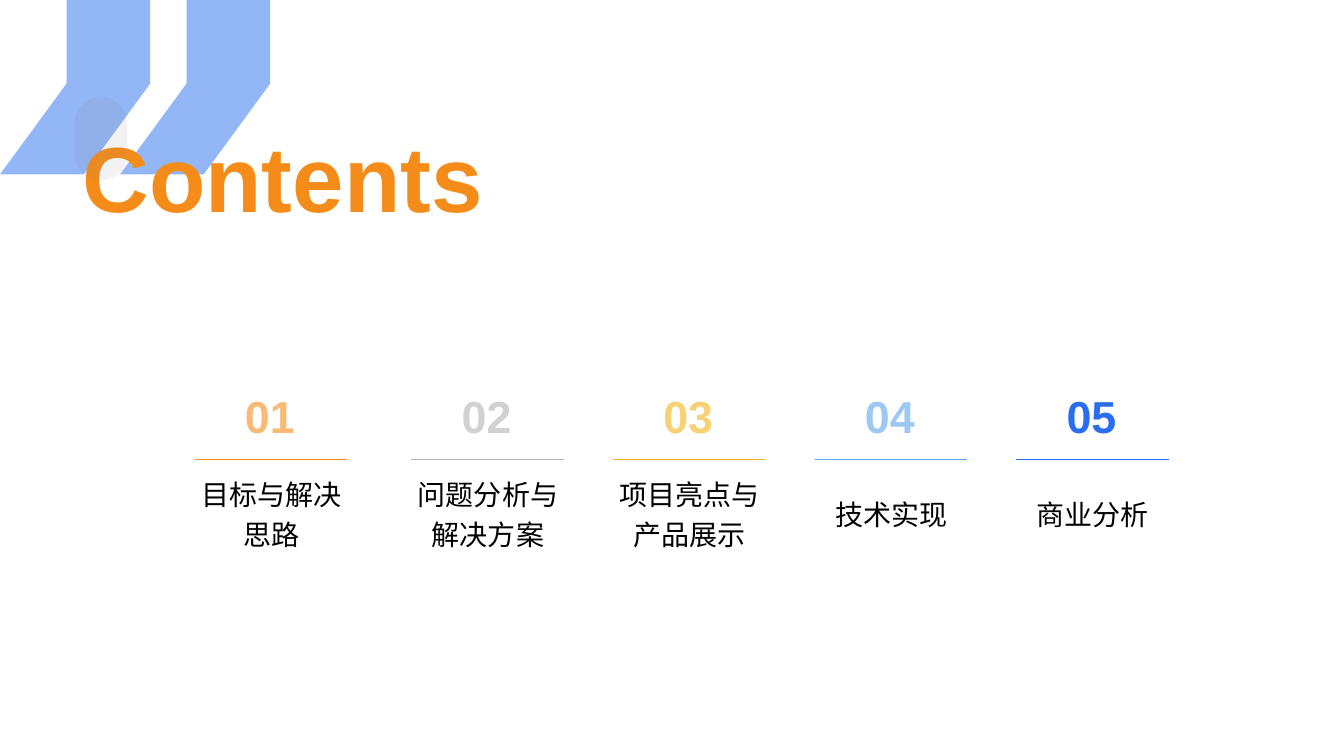
from lxml import etree
from pptx import Presentation
from pptx import util as u
from pptx.dml.color import RGBColor
from pptx.enum import shapes, text
from pptx.oxml.ns import qn

WIDTH, HEIGHT = 13.33, 7.5
COLUMN = 2.0            # pitch of the agenda columns
COLUMN_START = 1.93     # left of the second column, one pitch back
FIRST_SHIFT = -0.15     # the first column stands a little apart
LABEL_W = 1.82
NUMBER_INDENT = 0.55
RULE_INDENT, RULE_W = 0.15, 1.51
NUMBER_ROW, RULE_ROW, LABEL_ROW = 3.76, 4.56, 4.65

FONT = "Arial"
BLACK = RGBColor(0x00, 0x00, 0x00)
GREY = RGBColor(0x80, 0x80, 0x80)
ORANGE = RGBColor(0xF5, 0x8C, 0x19)
LIGHT_ORANGE = RGBColor(0xF9, 0xBA, 0x75)
SILVER = RGBColor(0xB3, 0xB3, 0xB3)
LIGHT_SILVER = RGBColor(0xD1, 0xD1, 0xD1)
YELLOW = RGBColor(0xF5, 0xB2, 0x19)
LIGHT_YELLOW = RGBColor(0xF9, 0xD1, 0x75)
SKY = RGBColor(0x5B, 0xA3, 0xEB)
LIGHT_SKY = RGBColor(0x9D, 0xC8, 0xF3)
BLUE = RGBColor(0x29, 0x6E, 0xF1)

# label, lines of text, gradient start, main colour
AGENDA = [
    ("目标与解决思路", 2, LIGHT_ORANGE, ORANGE),
    ("问题分析与解决方案", 2, LIGHT_SILVER, SILVER),
    ("项目亮点与产品展示", 2, LIGHT_YELLOW, YELLOW),
    ("技术实现", 1, LIGHT_SKY, SKY),
    ("商业分析", 1, BLUE, BLUE),
]


def paint(sp, color, opacity):
    """Fill a shape with a see-through colour and no outline."""
    sp.shadow.inherit = False
    sp.line.fill.background()
    sp.fill.solid()
    sp.fill.fore_color.rgb = color
    clr = sp._element.spPr.find(qn("a:solidFill"))[0]
    etree.SubElement(clr, qn("a:alpha"), val=str(opacity * 1000))


def add_quote_stroke(slide, left):
    outline = [(0.66, 0), (1.49, 0), (1.49, 0.83), (0.83, 1.73), (0, 1.73), (0.66, 0.83)]
    points = [(u.Inches(left + x), u.Inches(y)) for x, y in outline]
    builder = slide.shapes.build_freeform(*points[0])
    builder.add_line_segments(points[1:], close=True)
    paint(builder.convert_to_shape(), BLUE, 50)


def add_text(slide, words, left, top, width, height, size, bold=False, wrap=False):
    """Add a one-run text box and return its frame, paragraph and run."""
    sp = slide.shapes.add_textbox(*map(u.Inches, (left, top, width, height)))
    tf = sp.text_frame
    tf.word_wrap = wrap
    p = tf.paragraphs[0]
    r = p.add_run()
    r.text = words
    r.font.name, r.font.size, r.font.bold = FONT, u.Pt(size), bold
    return tf, p, r


def add_number(slide, number, left, start, end):
    tf, p, r = add_text(slide, f"{number:02d}", left + NUMBER_INDENT, NUMBER_ROW,
                        0.71, 0.47, 32, bold=True)
    tf.margin_top = u.Inches(0.1)
    if start == end:
        r.font.color.rgb = end
        return
    fill = r.font.fill
    fill.gradient()
    fill.gradient_angle = 315
    for stop, position, color in zip(fill.gradient_stops, (0, 0.6), (start, end)):
        stop.position = position
        stop.color.rgb = color


def add_rule(slide, left, color):
    x, y = left + RULE_INDENT, u.Inches(RULE_ROW)
    line = slide.shapes.add_connector(shapes.MSO_CONNECTOR.STRAIGHT,
                                      u.Inches(x + RULE_W), y, u.Inches(x), y)
    line.line.color.rgb = color
    line.line.width = u.Pt(1)
    etree.SubElement(line._element.spPr, qn("a:effectLst"))


def add_label(slide, words, lines, left):
    top, height = (LABEL_ROW, 0.87) if lines == 2 else (LABEL_ROW + 0.2, 0.47)
    tf, p, r = add_text(slide, words, left, top, LABEL_W, height, 20, wrap=True)
    tf.vertical_anchor = text.MSO_ANCHOR.BOTTOM
    tf.auto_size = text.MSO_AUTO_SIZE.SHAPE_TO_FIT_TEXT
    p.alignment = text.PP_ALIGN.CENTER
    p.line_spacing = 1.2
    r.font.color.rgb = BLACK


def main():
    prs = Presentation()
    prs.slide_width, prs.slide_height = u.Inches(WIDTH), u.Inches(HEIGHT)
    slide = prs.slides.add_slide(prs.slide_layouts[6])

    # Large quotation mark in the corner
    for left in (0, 1.19):
        add_quote_stroke(slide, left)

    # Title and the pale pill over it
    tf, p, r = add_text(slide, "Contents", 0.72, 1.43, 4.86, 0.91, 66, bold=True)
    tf.vertical_anchor = text.MSO_ANCHOR.BOTTOM
    r.font.color.rgb = ORANGE
    pill = slide.shapes.add_shape(shapes.MSO_SHAPE.ROUNDED_RECTANGLE,
                                  *map(u.Inches, (0.74, 0.96, 0.52, 0.83)))
    pill.adjustments[0] = 0.5
    paint(pill, GREY, 10)

    # Agenda columns
    for i, (words, lines, start, end) in enumerate(AGENDA):
        left = COLUMN_START + i * COLUMN + (FIRST_SHIFT if i == 0 else 0)
        add_label(slide, words, lines, left)
        add_number(slide, i + 1, left, start, end)
        add_rule(slide, left, end)

    prs.save("out.pptx")


if __name__ == "__main__":
    main()
